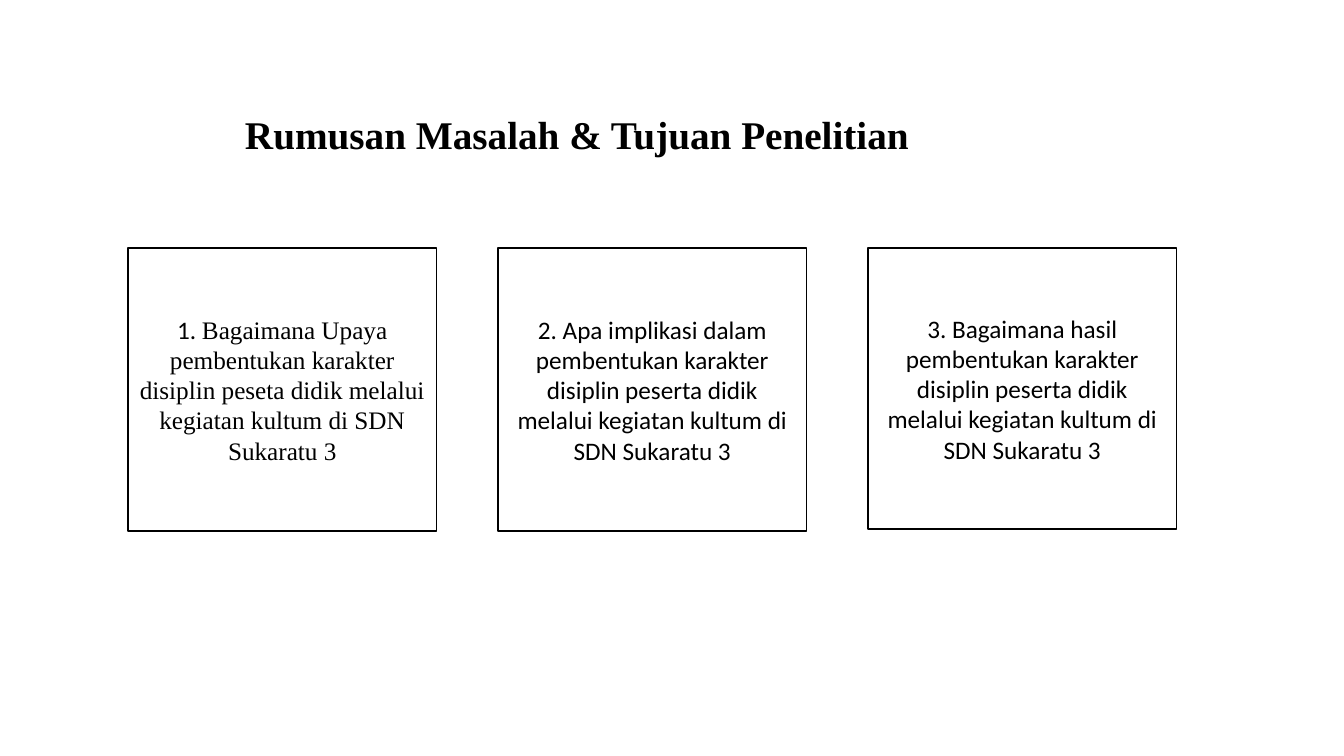
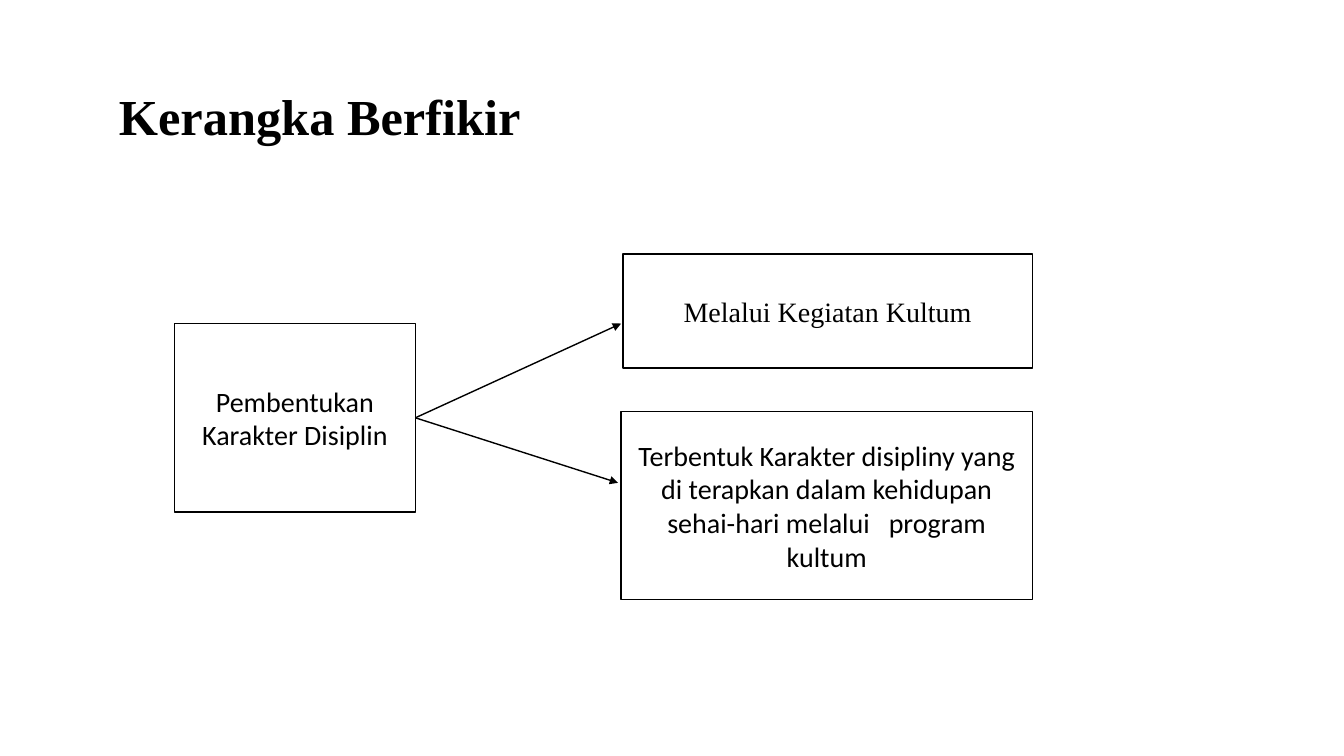
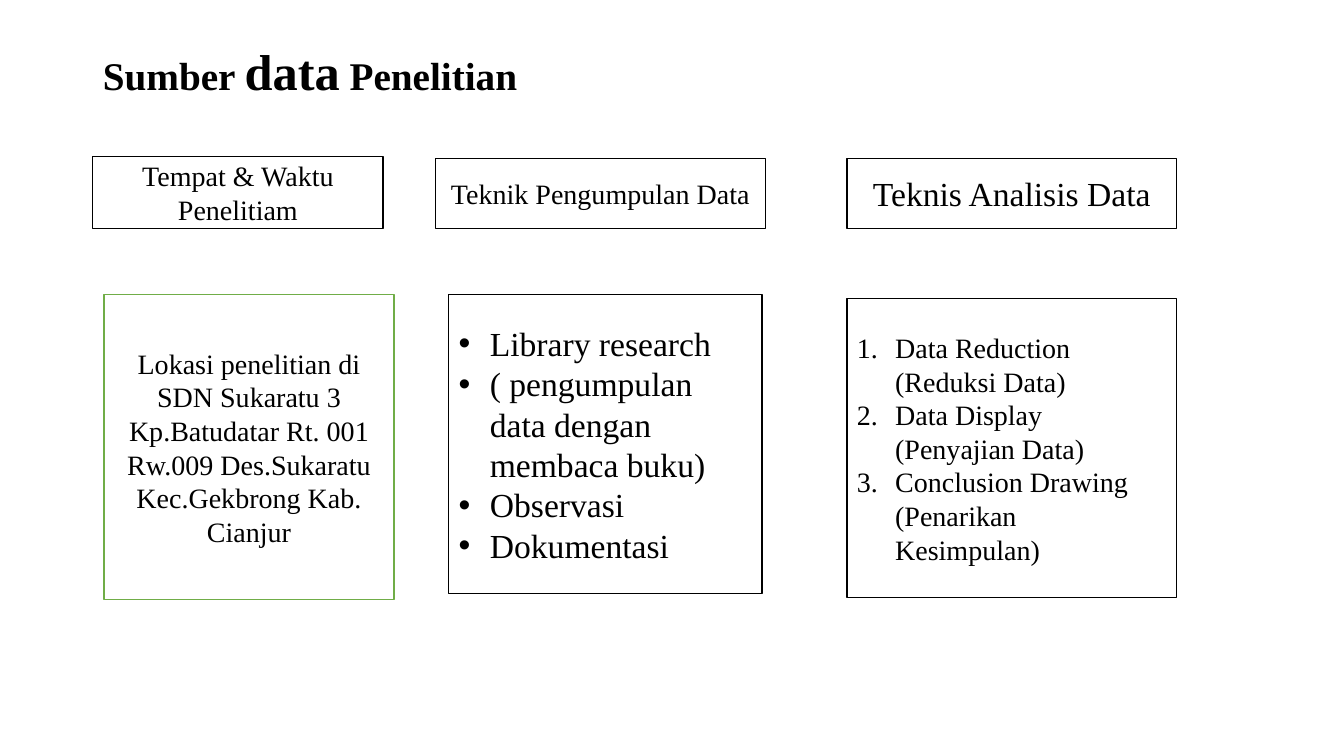
from lxml.etree import SubElement
from pptx import Presentation
from pptx.dml.color import RGBColor
from pptx.enum.shapes import MSO_CONNECTOR, MSO_SHAPE
from pptx.enum.text import MSO_ANCHOR, MSO_AUTO_SIZE, PP_ALIGN
from pptx.oxml.ns import qn
from pptx.util import Emu, Pt

EMU_PER_PX = 9144
COLORS = {"ink": "000000", "paper": "FFFFFF", "green": "70AD47"}
SERIF = "Times New Roman"
SANS = "Calibri"
TITLE_LAYOUT = 5
RIGHT_SIDE = 3


def px(value):
    return Emu(value * EMU_PER_PX)


def color(name):
    return RGBColor.from_string(COLORS[name])


def add_span(para, text, size, font=SERIF, bold=False):
    span = para.add_run()
    span.text = text
    span.font.size = Pt(size)
    span.font.name = font
    span.font.bold = bold
    span.font.color.rgb = color("ink")


def add_page(deck, area, spans):
    page = deck.slides.add_slide(deck.slide_layouts[TITLE_LAYOUT])
    title = page.shapes.title
    title.left, title.top, title.width, title.height = map(px, area)
    frame = title.text_frame
    frame.word_wrap = True
    frame.auto_size = MSO_AUTO_SIZE.NONE
    frame.vertical_anchor = MSO_ANCHOR.MIDDLE
    para = frame.paragraphs[0]
    para.alignment = PP_ALIGN.LEFT
    para.line_spacing = 0.9
    for text, size in spans:
        add_span(para, text, size, bold=True)
    return page


def add_box(page, area, line="ink"):
    box = page.shapes.add_shape(MSO_SHAPE.RECTANGLE, *map(px, area))
    box.shadow.inherit = False
    box.fill.solid()
    box.fill.fore_color.rgb = color("paper")
    box.line.color.rgb = color(line)
    box.line.width = Pt(1)
    box.text_frame.word_wrap = True
    box.text_frame.vertical_anchor = MSO_ANCHOR.MIDDLE
    return box


def add_text_box(page, area, spans, size, line="ink"):
    box = add_box(page, area, line)
    para = box.text_frame.paragraphs[0]
    para.alignment = PP_ALIGN.CENTER
    for text, font in spans:
        add_span(para, text, size, font)
    return box


def add_list_box(page, area, items, size, indent, numbered=False):
    frame = add_box(page, area).text_frame
    for index, item in enumerate(items):
        para = frame.add_paragraph() if index else frame.paragraphs[0]
        para.alignment = PP_ALIGN.LEFT
        add_span(para, item, size)
        properties = para._p.get_or_add_pPr()
        properties.set("marL", str(px(indent)))
        properties.set("indent", str(px(-indent)))
        if numbered:
            SubElement(properties, qn("a:buFont"), typeface="+mj-lt")
            SubElement(properties, qn("a:buAutoNum"), type="arabicPeriod")
        else:
            SubElement(properties, qn("a:buFont"), typeface="Arial")
            SubElement(properties, qn("a:buChar"), char="•")


def add_arrow(page, source, end):
    start = (source.left + source.width, source.top + source.height // 2)
    arrow = page.shapes.add_connector(
        MSO_CONNECTOR.STRAIGHT, *start, *map(px, end))
    arrow.begin_connect(source, RIGHT_SIDE)
    arrow.line.color.rgb = color("ink")
    arrow.line.width = Pt(1)
    SubElement(arrow.line._get_or_add_ln(), qn("a:tailEnd"), type="triangle")
    SubElement(arrow._element.spPr, qn("a:effectLst"))


def build_questions(deck):
    page = add_page(deck, (233, 67, 790, 137),
                    [("Rumusan Masalah & Tujuan Penelitian", 28)])
    questions = [
        (281, [("1. ", SANS),
               ("Bagaimana Upaya pembentukan karakter disiplin peseta didik "
                "melalui kegiatan kultum di SDN Sukaratu 3", SERIF)]),
        (281, [("2. Apa implikasi dalam pembentukan karakter disiplin peserta "
                "didik melalui kegiatan kultum di SDN Sukaratu 3", SANS)]),
        (279, [("3. Bagaimana hasil pembentukan karakter disiplin peserta "
                "didik melalui kegiatan kultum di SDN Sukaratu 3", SANS)]),
    ]
    for column, (height, spans) in enumerate(questions):
        add_text_box(page, (127 + 367 * column, 246, 306, height), spans, 18)


def build_framework(deck):
    page = add_page(deck, (108, 62, 529, 113), [("Kerangka Berfikir", 36)])
    character = add_text_box(page, (173, 321, 239, 187),
                             [("Pembentukan Karakter Disiplin", SANS)], 20)
    for end in ((616, 321), (613, 479)):
        add_arrow(page, character, end)
    add_text_box(page, (618, 252, 406, 113),
                 [("Melalui Kegiatan Kultum", SERIF)], 20)
    add_text_box(page, (616, 408, 408, 187),
                 [("Terbentuk Karakter disipliny yang di terapkan dalam "
                   "kehidupan sehai-hari melalui   program kultum", SANS)], 20)


def build_data_sources(deck):
    page = add_page(deck, (92, 32, 443, 83),
                    [("Sumber ", 28), ("data", 36), (" Penelitian", 28)])
    headings = [
        ((92, 155, 288, 72), "Tempat & Waktu Penelitiam", 20),
        ((432, 157, 327, 70), "Teknik Pengumpulan Data", 20),
        ((840, 157, 327, 70), "Teknis Analisis Data", 24),
    ]
    for area, text, size in headings:
        add_text_box(page, area, [(text, SERIF)], size)
    add_text_box(page, (103, 292, 288, 303),
                 [("Lokasi penelitian di SDN Sukaratu 3 Kp.Batudatar Rt. 001 "
                   "Rw.009 Des.Sukaratu Kec.Gekbrong Kab. Cianjur", SERIF)],
                 20, "green")
    add_list_box(page, (445, 292, 311, 297),
                 ["Library research",
                  "( pengumpulan data dengan membaca buku)",
                  "Observasi",
                  "Dokumentasi"], 24, 31)
    add_list_box(page, (840, 296, 327, 297),
                 ["Data Reduction (Reduksi Data)",
                  "Data Display (Penyajian Data)",
                  "Conclusion Drawing (Penarikan Kesimpulan)"],
                 20, 38, numbered=True)


def main():
    deck = Presentation()
    deck.slide_width = px(1333)
    deck.slide_height = px(750)
    build_questions(deck)
    build_framework(deck)
    build_data_sources(deck)
    deck.save("out.pptx")


if __name__ == "__main__":
    main()
